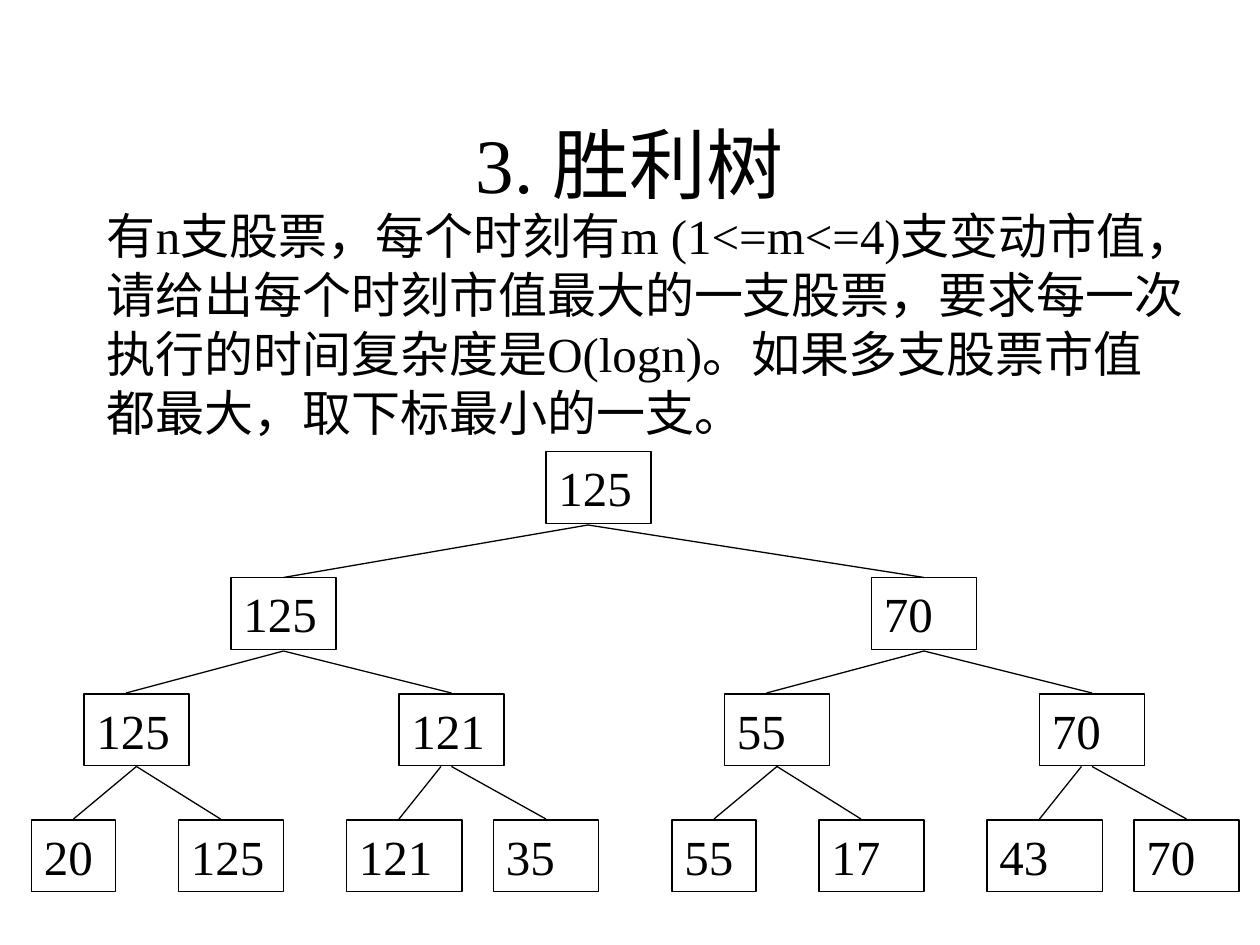
import dataclasses

import lxml.etree
import pptx
import pptx.dml.color
import pptx.enum.shapes
import pptx.enum.text
import pptx.oxml.ns
import pptx.util

Pt = pptx.util.Pt


@dataclasses.dataclass(frozen=True)
class Theme:
    ink: pptx.dml.color.RGBColor = pptx.dml.color.RGBColor(0, 0, 0)
    font: str = "Times New Roman"
    title_size: float = 44
    body_size: float = 28
    space_before: float = 17.5
    line_width: float = 0.74


THEME = Theme()

TITLE = "3. 胜利树"
PROBLEM = (
    "有n支股票，每个时刻有m (1<=m<=4)支变动市值，"
    "请给出每个时刻市值最大的一支股票，要求每一次执行的时间复杂度是O(logn)。"
    "如果多支股票市值都最大，取下标最小的一支。"
)

# Tree geometry: both halves share one layout, shifted sideways
NODE_HEIGHT = 41
ROW_TOPS = (258, 330, 396.6, 468.6)
HALF_SHIFT = 366
HALF_NODES = (  # left, width, row
    (132, 60, 1),
    (48, 60, 2), (228, 60, 2),
    (18, 48, 3), (102, 60, 3), (198, 66, 3), (282, 60, 3),
)
HALF_BRANCHES = (  # start x, end x, row of the parent
    (162, 72, 1), (162, 258, 1),
    (78, 42, 2), (78, 126, 2), (252, 228, 2), (258, 312, 2),
)
BRANCH_ENDS = {0: (300, 330), 1: (372, 396), 2: (438, 468)}
HALF_VALUES = (
    ("125", "125", "121", "20", "125", "121", "35"),
    ("70", "55", "70", "55", "17", "43", "70"),
)


def write_text(frame, text, size):
    frame.word_wrap = True
    paragraph = frame.paragraphs[0]
    run = paragraph.add_run()
    run.text = text
    run.font.name = THEME.font
    run.font.size = Pt(size)
    run.font.color.rgb = THEME.ink
    return paragraph


def write_body(frame, text):
    frame.vertical_anchor = pptx.enum.text.MSO_ANCHOR.TOP
    paragraph = write_text(frame, text, THEME.body_size)
    paragraph.alignment = pptx.enum.text.PP_ALIGN.LEFT
    paragraph.space_before = Pt(THEME.space_before)
    frame.auto_size = pptx.enum.text.MSO_AUTO_SIZE.SHAPE_TO_FIT_TEXT


def set_title(slide, text):
    title = slide.shapes.title
    title.left, title.top, title.width, title.height = Pt(54), Pt(48), Pt(612), Pt(90)
    title.text_frame.vertical_anchor = pptx.enum.text.MSO_ANCHOR.MIDDLE
    paragraph = write_text(title.text_frame, text, THEME.title_size)
    paragraph.alignment = pptx.enum.text.PP_ALIGN.CENTER


def add_problem(slide, text):
    box = slide.shapes.add_textbox(Pt(54), Pt(114), Pt(630), Pt(142))
    write_body(box.text_frame, text)


def add_node(slide, value, left, width, row):
    node = slide.shapes.add_shape(
        pptx.enum.shapes.MSO_SHAPE.RECTANGLE,
        Pt(left), Pt(ROW_TOPS[row]), Pt(width), Pt(NODE_HEIGHT),
    )
    node.shadow.inherit = False
    node.fill.background()
    node.line.color.rgb = THEME.ink
    node.line.width = Pt(THEME.line_width)
    write_body(node.text_frame, value)


def add_branch(slide, start, end, row):
    top, bottom = BRANCH_ENDS[row]
    branch = slide.shapes.add_connector(
        pptx.enum.shapes.MSO_CONNECTOR.STRAIGHT,
        Pt(start), Pt(top), Pt(end), Pt(bottom),
    )
    branch.line.color.rgb = THEME.ink
    branch.line.width = Pt(THEME.line_width)
    properties = branch._element.spPr
    lxml.etree.SubElement(properties, pptx.oxml.ns.qn("a:effectLst"))


def add_half(slide, values, shift):
    for value, (left, width, row) in zip(values, HALF_NODES):
        add_node(slide, value, left + shift, width, row)
    for start, end, row in HALF_BRANCHES:
        add_branch(slide, start + shift, end + shift, row)


def main():
    presentation = pptx.Presentation()
    presentation.slide_width, presentation.slide_height = Pt(720), Pt(540)
    slide = presentation.slides.add_slide(presentation.slide_layouts[5])

    # Title and problem statement
    set_title(slide, TITLE)
    add_problem(slide, PROBLEM)

    # Two halves of the tree, then the root that joins them
    for index, values in enumerate(HALF_VALUES):
        add_half(slide, values, index * HALF_SHIFT)
    add_node(slide, "125", 312, 60, 0)
    for end in (162, 162 + HALF_SHIFT):
        add_branch(slide, 336, end, 0)

    presentation.save("out.pptx")


main()
